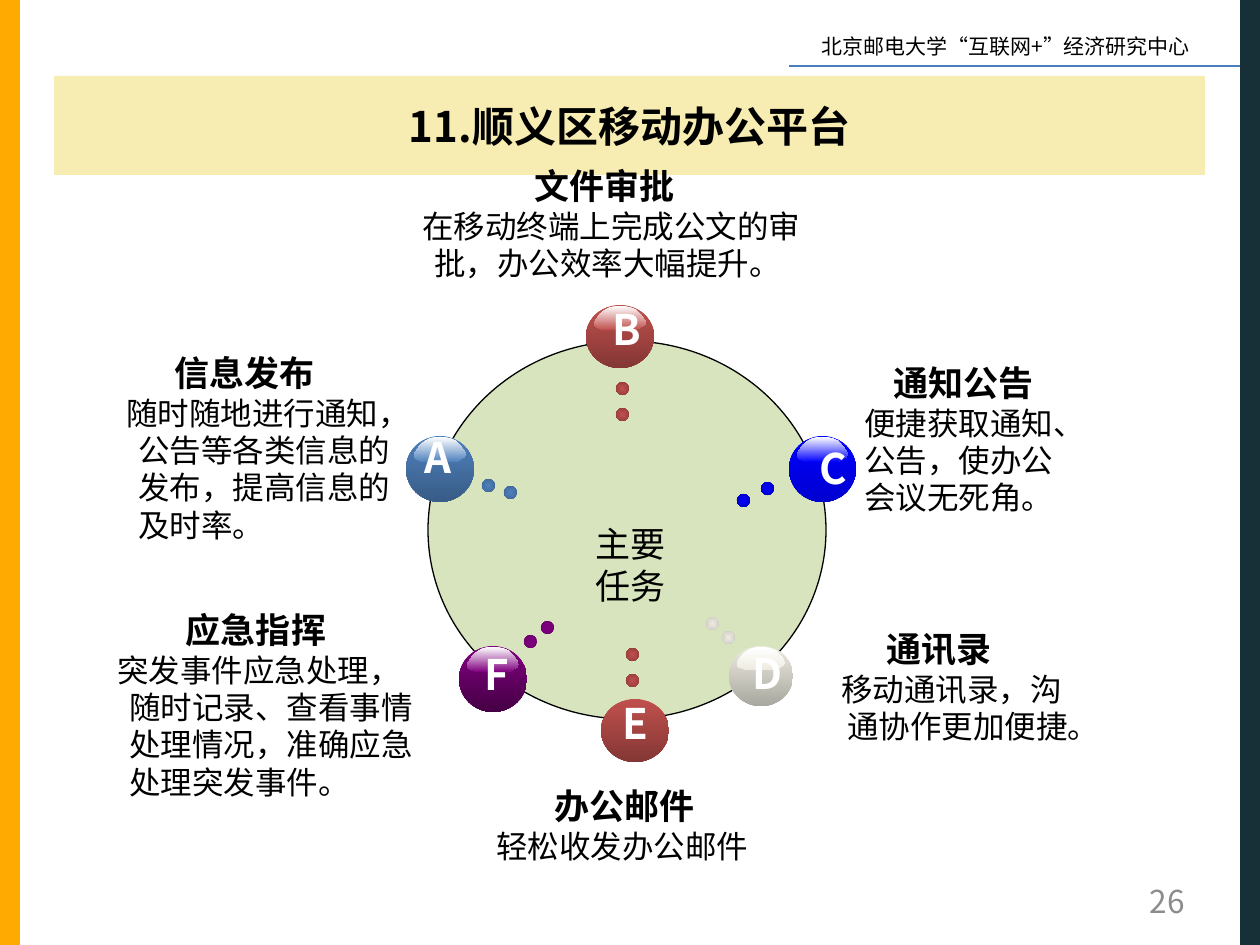
from dataclasses import dataclass

from lxml import etree
from pptx import Presentation
from pptx.dml.color import RGBColor
from pptx.enum.shapes import MSO_CONNECTOR, MSO_SHAPE
from pptx.enum.text import MSO_ANCHOR, PP_ALIGN
from pptx.oxml.ns import qn
from pptx.util import Pt

RECTANGLE, OVAL = MSO_SHAPE.RECTANGLE, MSO_SHAPE.OVAL
STRAIGHT = MSO_CONNECTOR.STRAIGHT
TOP, MIDDLE = MSO_ANCHOR.TOP, MSO_ANCHOR.MIDDLE
LEFT, CENTER, RIGHT = PP_ALIGN.LEFT, PP_ALIGN.CENTER, PP_ALIGN.RIGHT

SCALE = 914400 / 126
HANG = 48
LINE_RATIO = 1.19


@dataclass(frozen=True)
class Theme:
    font: str = "Noto Sans CJK SC"
    label_font: str = "Calibri"
    black: str = "000000"
    white: str = "FFFFFF"
    gray: str = "8C8C8C"
    orange: str = "FFAA00"
    navy: str = "172F37"
    rule: str = "4B7EBC"
    banner: str = "E9CD23"
    banner_opacity: int = 35
    disc: str = "D7E4BD"
    title: int = 24
    heading: int = 20
    body: int = 18
    header: int = 12
    hairline: float = 0.75


THEME = Theme()

RED = ("C0504D", "843735", "8A3938")
BLUE = ("4F81BD", "385C86", "3C6290")
BRIGHT_BLUE = ("0000FF", "0000D0", "0000B3")
SILVER = ("EEECE1", "A9A8A0", "C8C6BD")
PURPLE = ("800080", "450045", "6B006B")

BALLS = [
    ("B", RED, (586, 305, 68, 63), (604, 304), [(616, 382), (616, 408)], True),
    ("F", PURPLE, (459, 646, 68, 66), (474, 649), [(524, 635), (541, 621)], True),
    ("C", BRIGHT_BLUE, (789, 436, 67, 66), (810, 443), [(761, 482), (737, 494)], True),
    ("D", SILVER, (729, 646, 64, 60), (745, 648), [(722, 631), (706, 617)], True),
    ("A", BLUE, (406, 436, 68, 66), (415, 432), [(482, 479), (504, 486)], True),
    ("E", RED, (601, 699, 68, 63), (612, 698), [(626, 648), (626, 674)], False),
]

CALLOUTS = [
    ((374, 159, 462, 131), "文件审批", ["在移动终端上完成公文的审批，办公效率大幅提升。"], HANG, 12),
    ((816, 356, 295, 170), "通知公告", ["便捷获取通知、", "公告，使办公", "会议无死角。"], HANG, 12),
    ((787, 622, 305, 170), "通讯录", ["移动通讯录，沟通协作更加便捷。"], HANG, 6),
    ((78, 346, 333, 208), "信息发布", ["随时随地进行通知，公告等各类信息的发布，提高信息的及时率。"], HANG, 12),
    ((462, 779, 325, 93), "办公邮件", ["轻松收发办公邮件"], HANG, 26),
    ((69, 603, 374, 208), "应急指挥",
     ["突发事件应急处理，随时记录、查看事情处理情况，准确应急处理突发事件。"], HANG, 12),
]

GLOSS_OUTLINE = [
    (41, 11), (42, 13), (41, 15), (39, 16), (36, 18), (31, 19), (26, 19), (15, 19),
    (10, 19), (5, 18), (2, 17), (0, 15), (0, 13), (2, 10), (5, 6), (9, 3),
    (13, 1), (18, 0), (24, 0), (29, 1), (34, 3), (38, 7),
]


def px(value):
    return round(value * SCALE)


def box_emu(box):
    return [px(value) for value in box]


def apply_format(target, values):
    for name, value in values.items():
        setattr(target, name, value)


def write_paragraph(paragraph, text, size, color=THEME.black, bold=False, align=LEFT,
                    font=THEME.font, tight=True, margin=0, indent=0):
    properties = paragraph._p.get_or_add_pPr()
    if margin:
        properties.set("marL", str(px(margin)))
        properties.set("indent", str(px(indent)))
    paragraph.alignment = align
    if tight:
        paragraph.line_spacing = Pt(round(size * LINE_RATIO, 1))
    run = paragraph.add_run()
    run.text = text
    apply_format(run.font, {"size": Pt(size), "bold": bold, "name": font})
    run.font.color.rgb = RGBColor.from_string(color)
    east_asian = etree.SubElement(run._r.get_or_add_rPr(), qn("a:ea"))
    east_asian.set("typeface", THEME.font)


def add_text(slide, box, text, size, anchor=TOP, inset=None, **style):
    shape = slide.shapes.add_textbox(*box_emu(box))
    frame = shape.text_frame
    apply_format(frame, {"word_wrap": True, "vertical_anchor": anchor})
    if inset is not None:
        sides = ("margin_left", "margin_top", "margin_right", "margin_bottom")
        apply_format(frame, dict.fromkeys(sides, px(inset)))
    write_paragraph(frame.paragraphs[0], text, size, **style)
    return frame


def fill_solid(shape, color):
    shape.fill.solid()
    shape.fill.fore_color.rgb = RGBColor.from_string(color)


def fill_gradient(shape, start, end, radial=False):
    shape.fill.gradient()
    shape.fill.gradient_angle = 270
    for stop, color in zip(shape.fill.gradient_stops, (start, end)):
        stop.color.rgb = RGBColor.from_string(color)
    if radial:
        linear = shape._element.spPr.find(".//" + qn("a:lin"))
        gradient = linear.getparent()
        gradient.remove(linear)
        radial_path = etree.SubElement(gradient, qn("a:path"), {"path": "shape"})
        etree.SubElement(radial_path, qn("a:fillToRect"), dict.fromkeys("ltrb", "50000"))


def add_plain_shape(slide, kind, box):
    shape = slide.shapes.add_shape(kind, *box_emu(box))
    shape.shadow.inherit = False
    shape.line.fill.background()
    return shape


def add_bar(slide, box, color):
    fill_solid(add_plain_shape(slide, RECTANGLE, box), color)


def add_header(slide):
    add_text(slide, (809, 28, 420, 38), "北京邮电大学“互联网+”经济研究中心", THEME.header)
    rule = slide.shapes.add_connector(STRAIGHT, *box_emu((789, 66, 1240, 66)))
    rule.line.color.rgb = RGBColor.from_string(THEME.rule)
    rule.line.width = Pt(THEME.hairline)
    etree.SubElement(rule._element.spPr, qn("a:effectLst"))


def add_banner(slide, box, text):
    banner = add_plain_shape(slide, RECTANGLE, box)
    fill_solid(banner, THEME.banner)
    color = banner._element.spPr.find(".//" + qn("a:srgbClr"))
    etree.SubElement(color, qn("a:alpha"), {"val": str(THEME.banner_opacity * 1000)})
    banner.text_frame.vertical_anchor = MIDDLE
    write_paragraph(banner.text_frame.paragraphs[0], text, THEME.title,
                    bold=True, align=CENTER, tight=False)


def add_disc(slide, box):
    disc = add_plain_shape(slide, OVAL, box)
    fill_solid(disc, THEME.disc)
    disc.line.color.rgb = RGBColor.from_string(THEME.black)
    disc.line.width = Pt(THEME.hairline)


def add_gloss(slide, ball, color):
    left, top, width, height = ball
    builder = slide.shapes.build_freeform(*GLOSS_OUTLINE[0], scale=SCALE)
    builder.add_line_segments(GLOSS_OUTLINE[1:], close=True)
    gloss = builder.convert_to_shape(px(left + width * 0.12), px(top + 1))
    apply_format(gloss, {"width": px(width * 0.76), "height": px(height * 0.38)})
    gloss.shadow.inherit = False
    gloss.line.fill.background()
    fill_gradient(gloss, THEME.white, color)


def add_ball(slide, letter, colors, ball, letter_at, dots, glossy):
    base, shade, dot_shade = colors
    fill_gradient(add_plain_shape(slide, OVAL, ball), base, shade)
    if glossy:
        add_gloss(slide, ball, base)
    add_text(slide, (*letter_at, 46, 61), letter, THEME.title, inset=0,
             color=THEME.white, bold=True, align=CENTER, tight=False)
    for dot_at in dots:
        dot = add_plain_shape(slide, OVAL, (*dot_at, 13, 13))
        dot.rotation = 303.8
        fill_gradient(dot, base, dot_shade, radial=True)


def add_callout(slide, box, heading, lines, margin, outdent):
    frame = add_text(slide, box, heading, THEME.heading, bold=True, align=CENTER)
    for line in lines:
        write_paragraph(frame.add_paragraph(), line, THEME.body,
                        margin=margin, indent=-outdent)


def main():
    presentation = Presentation()
    apply_format(presentation, {"slide_width": px(1260), "slide_height": px(945)})
    slide = presentation.slides.add_slide(presentation.slide_layouts[6])
    add_bar(slide, (0, 0, 20, 945), THEME.orange)
    add_bar(slide, (1240, 0, 20, 945), THEME.navy)
    add_header(slide)
    add_text(slide, (903, 876, 294, 50), "26", THEME.body, anchor=MIDDLE,
             color=THEME.gray, align=RIGHT, tight=False)
    add_banner(slide, (54, 76, 1151, 99), "11.顺义区移动办公平台")
    add_disc(slide, (428, 341, 398, 378))
    add_text(slide, (567, 517, 128, 96), "主要任务", THEME.heading,
             align=CENTER, font=THEME.label_font)
    for ball in BALLS:
        add_ball(slide, *ball)
    for callout in CALLOUTS:
        add_callout(slide, *callout)
    presentation.save("out.pptx")


if __name__ == "__main__":
    main()
